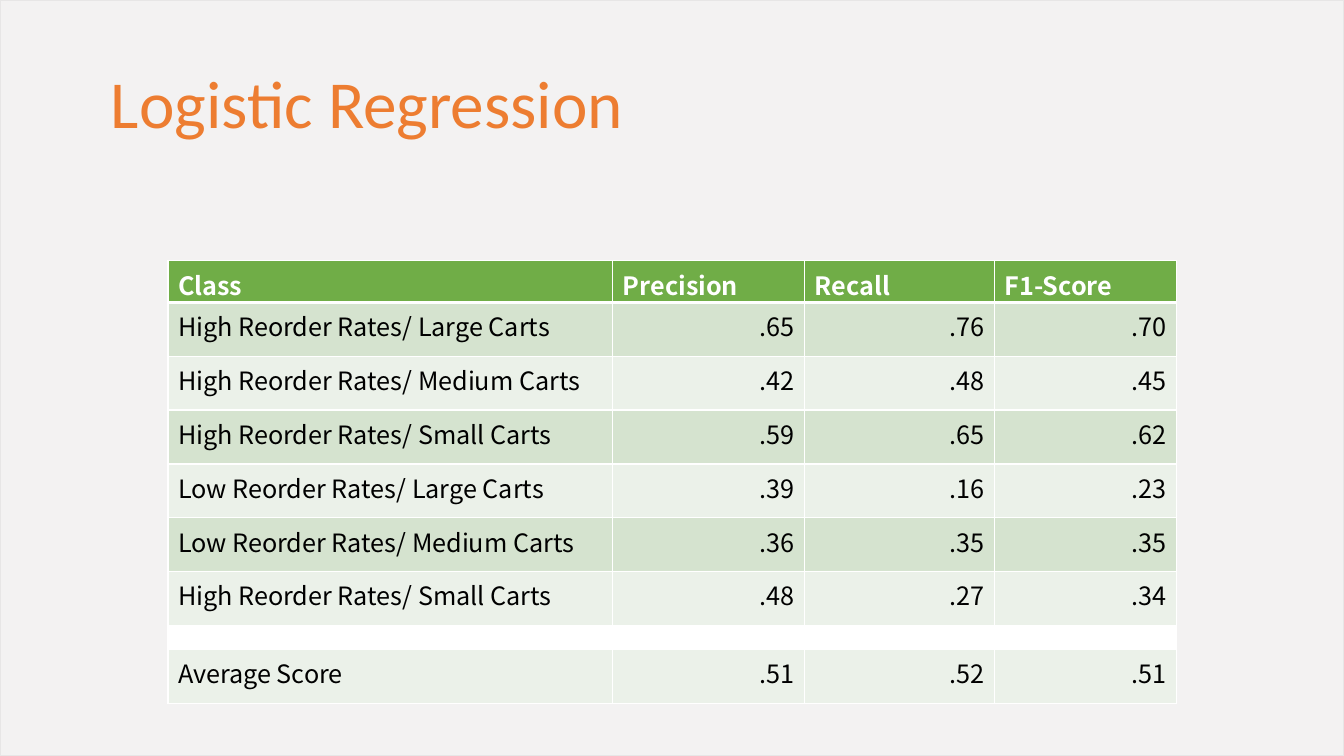
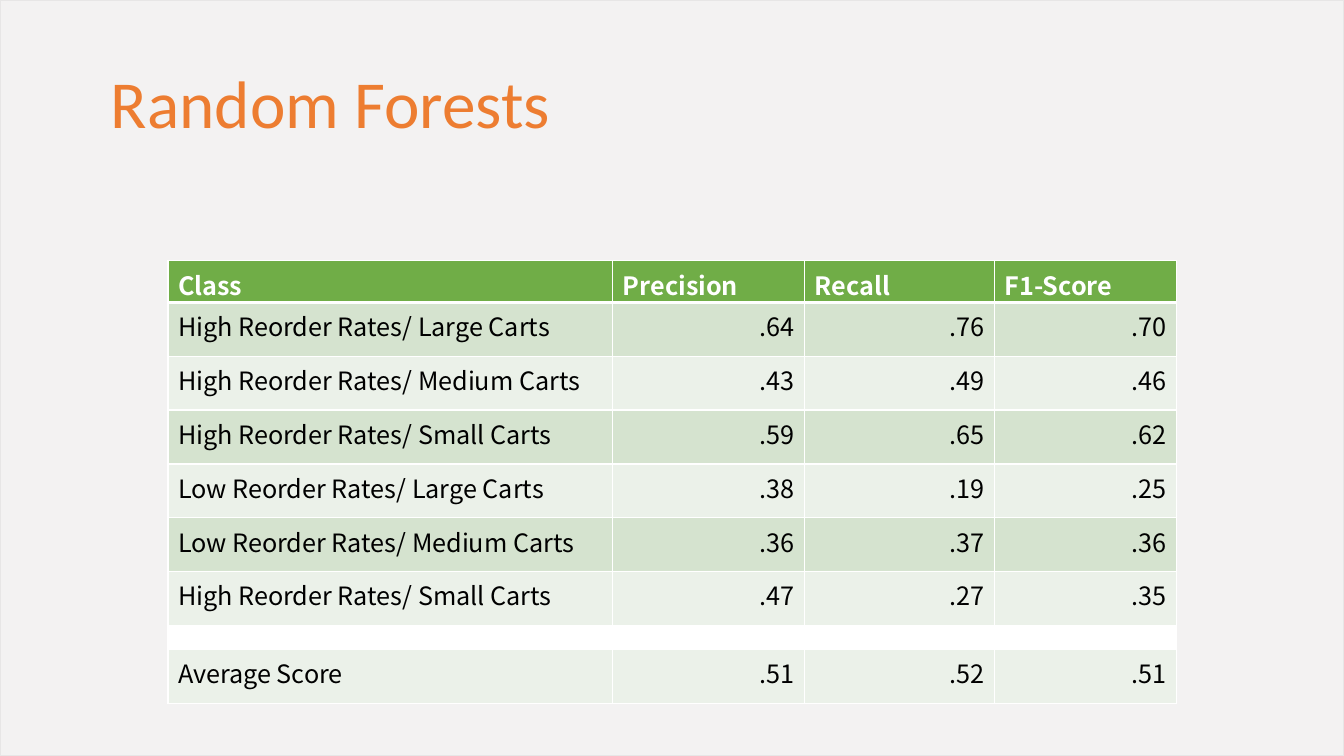
from lxml import etree
from pptx import Presentation, util as u
from pptx.dml.color import RGBColor
from pptx.enum import shapes, text
from pptx.oxml import ns

ORANGE = RGBColor(0xED, 0x7D, 0x31)
GREEN = RGBColor(0x70, 0xAD, 0x47)
BAND_DARK = RGBColor(0xD5, 0xE3, 0xCF)
BAND_LIGHT = RGBColor(0xEB, 0xF1, 0xE9)
GREY = RGBColor(0xE7, 0xE6, 0xE6)
WHITE = RGBColor(0xFF, 0xFF, 0xFF)
BLACK = RGBColor(0, 0, 0)

GRID = 40
COLUMNS = (13.24, 5.71, 5.65, 5.42)
HEADER_ROW, BODY_ROW, SPACER_ROW = 2.13, 2.85, 1.28
TITLE_FONT = {"name": "Calibri", "size": u.Pt(48), "bold": False}
TABLE_FONT = {"name": "Noto Sans CJK SC", "size": u.Pt(18)}

HEADINGS = ("Class", "Precision", "Recall", "F1-Score")
CLASSES = (
    "High Reorder Rates/ Large Carts",
    "High Reorder Rates/ Medium Carts",
    "High Reorder Rates/ Small Carts",
    "Low Reorder Rates/ Large Carts",
    "Low Reorder Rates/ Medium Carts",
    "High Reorder Rates/ Small Carts",
)
AVERAGE = ("Average Score", ".51", ".52", ".51")
MODELS = {
    "Logistic Regression": (
        (".65", ".76", ".70"),
        (".42", ".48", ".45"),
        (".59", ".65", ".62"),
        (".39", ".16", ".23"),
        (".36", ".35", ".35"),
        (".48", ".27", ".34"),
    ),
    "Random Forests": (
        (".64", ".76", ".70"),
        (".43", ".49", ".46"),
        (".59", ".65", ".62"),
        (".38", ".19", ".25"),
        (".36", ".37", ".36"),
        (".47", ".27", ".35"),
    ),
}


def apply(target, values):
    for name, value in values.items():
        setattr(target, name, value)


class Deck:
    def __init__(self):
        self.prs = Presentation()
        self.prs.slide_width = u.Inches(13.33)
        self.prs.slide_height = u.Inches(7.5)
        self.s = None

    def x(self, columns):
        return round(self.prs.slide_width * columns / GRID)

    def y(self, rows):
        return round(self.prs.slide_height * rows / GRID)

    def box(self, left, top, width, height):
        return self.x(left), self.y(top), self.x(width), self.y(height)

    def slide(self, title):
        self.s = self.prs.slides.add_slide(self.prs.slide_layouts[5])
        self.background()
        self.title(title)

    def background(self):
        sp = self.s.shapes.add_shape(
            shapes.MSO_SHAPE.RECTANGLE, *self.box(0, 0, GRID, GRID))
        sp.shadow.inherit = False
        sp.fill.solid()
        sp.fill.fore_color.rgb = GREY
        color = sp._element.spPr.find(ns.qn("a:solidFill"))[0]
        etree.SubElement(color, ns.qn("a:alpha"), val="49000")
        sp.line.color.rgb = GREY
        sp.line.width = u.Pt(1)
        self.s.shapes._spTree.insert(2, sp._element)

    def title(self, words):
        sp = self.s.shapes.title
        place = zip(("left", "top", "width", "height"), self.box(3, 3, 23, 8))
        apply(sp, dict(place))
        tf = sp.text_frame
        apply(tf, {"word_wrap": True, "vertical_anchor": text.MSO_ANCHOR.TOP,
                   "auto_size": text.MSO_AUTO_SIZE.NONE})
        p = tf.paragraphs[0]
        p.alignment = text.PP_ALIGN.LEFT
        r = p.add_run()
        r.text = words
        apply(r.font, TITLE_FONT)
        r.font.color.rgb = ORANGE

    def table(self, rows, left, top):
        heights = [BODY_ROW if any(row) else SPACER_ROW for row in rows]
        heights[0] = HEADER_ROW
        frame = self.s.shapes.add_table(
            len(rows), len(COLUMNS),
            *self.box(left, top, sum(COLUMNS), sum(heights)))
        table = frame.table
        for column, width in zip(table.columns, COLUMNS):
            column.width = self.x(width)
        for i, (row, height) in enumerate(zip(rows, heights)):
            table.rows[i].height = self.y(height)
            for j, words in enumerate(row):
                self.cell(table.cell(i, j), words, i, j)

    def cell(self, cell, words, i, j):
        header = i == 0
        self.borders(cell, {"T": 3 if i == 1 else 1, "B": 3 if header else 1})
        p = cell.text_frame.paragraphs[0]
        if words:
            p.alignment = (text.PP_ALIGN.RIGHT if j and not header
                           else text.PP_ALIGN.LEFT)
            r = p.add_run()
            r.text = words
            apply(r.font, {**TABLE_FONT, "bold": header})
            r.font.color.rgb = WHITE if header else BLACK
            fill = GREEN if header else BAND_DARK if i % 2 else BAND_LIGHT
        else:
            etree.SubElement(p._p, ns.qn("a:endParaRPr"), sz="600")
            fill = WHITE
        if header or not words:
            cell.margin_bottom = 0
        cell.fill.solid()
        cell.fill.fore_color.rgb = fill

    def borders(self, cell, widths):
        tcPr = cell._tc.get_or_add_tcPr()
        for side in "LRTB":
            line = etree.SubElement(tcPr, ns.qn("a:ln" + side),
                                    w=str(u.Pt(widths.get(side, 1))))
            solid = etree.SubElement(line, ns.qn("a:solidFill"))
            etree.SubElement(solid, ns.qn("a:srgbClr"), val=str(WHITE))


def main():
    deck = Deck()
    for model, scores in MODELS.items():
        deck.slide(model)
        body = [(name, *values) for name, values in zip(CLASSES, scores)]
        spacer = ("",) * len(HEADINGS)
        deck.table([HEADINGS, *body, spacer, AVERAGE], 5, 13.8)
    deck.prs.save("out.pptx")


if __name__ == "__main__":
    main()
